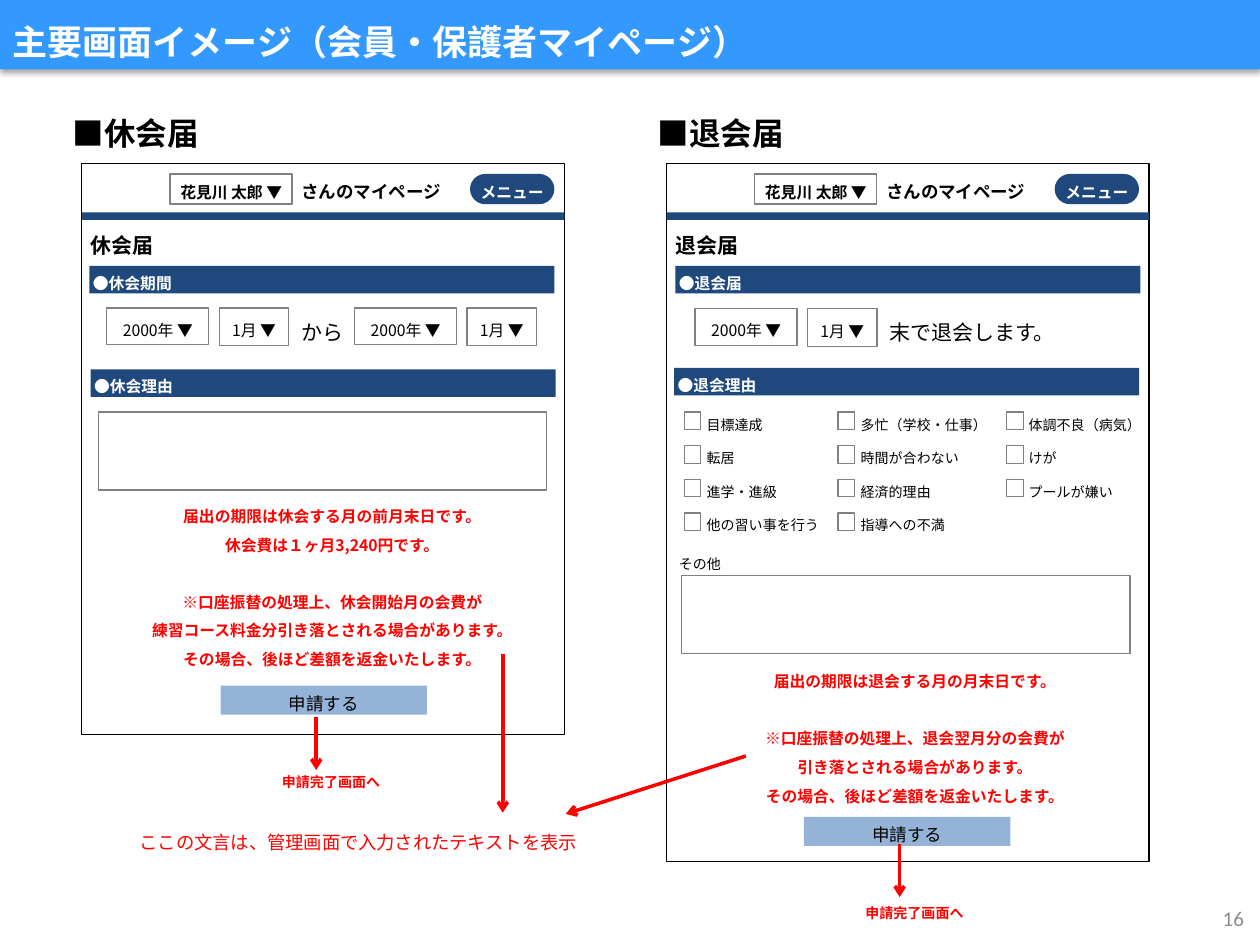
from pptx import Presentation
from pptx.dml.color import RGBColor
from pptx.enum.shapes import MSO_CONNECTOR, MSO_SHAPE
from pptx.enum.text import MSO_ANCHOR, PP_ALIGN
from pptx.oxml import parse_xml
from pptx.oxml.ns import nsdecls, qn
from pptx.oxml.xmlchemy import OxmlElement
from pptx.util import Pt

FONT = "Noto Sans CJK JP"
WHITE, BLACK, RED = "FFFFFF", "000000", "FF0000"
NAVY, GRAY, PALE_BLUE = "1F497D", "808080", "95B3D7"
LEFT, CENTER, RIGHT = PP_ALIGN.LEFT, PP_ALIGN.CENTER, PP_ALIGN.RIGHT


def color(value):
    return RGBColor.from_string(value)


class Screen:
    """Style and current slide, with one method per kind of element."""

    def __init__(self, page):
        self.page = page

    def add_lines(self, shape, lines, size, ink, bold=False, align=LEFT, font=FONT,
                  pitch=None, gaps=None, tabs=()):
        """Fill a shape with one paragraph per line; gaps maps line to space before."""
        frame = shape.text_frame
        for index, line in enumerate(lines):
            para = frame.paragraphs[0] if index == 0 else frame.add_paragraph()
            if tabs:
                stops = OxmlElement("a:tabLst")
                for position in tabs:
                    stop = OxmlElement("a:tab")
                    stop.set("pos", str(Pt(position)))
                    stop.set("algn", "l")
                    stops.append(stop)
                para._p.get_or_add_pPr().append(stops)
            para.alignment = align
            para.line_spacing = Pt(pitch or round(size * 1.3, 1))
            if gaps and index in gaps:
                para.space_before = Pt(gaps[index])
            span = para.add_run()
            span.text = line
            span.font.size = Pt(size)
            span.font.bold = bold
            span.font.name = font
            span.font.color.rgb = color(ink)
            east_asian = OxmlElement("a:ea")
            east_asian.set("typeface", font)
            span.font._element.find(qn("a:latin")).addnext(east_asian)

    def text(self, x, y, width, height, lines, size, ink=BLACK, wrap=False,
             anchor=MSO_ANCHOR.TOP, **style):
        box = self.page.shapes.add_textbox(Pt(x), Pt(y), Pt(width), Pt(height))
        box.text_frame.word_wrap = wrap
        box.text_frame.vertical_anchor = anchor
        self.add_lines(box, lines, size, ink, **style)
        return box

    def box(self, x, y, width, height, fill=WHITE, line=None, label=None, size=9,
            ink=BLACK, kind=MSO_SHAPE.RECTANGLE, inset=(0, 3, 0), align=CENTER,
            bold=False):
        shape = self.page.shapes.add_shape(kind, Pt(x), Pt(y), Pt(width), Pt(height))
        shape.shadow.inherit = False
        shape.fill.solid()
        shape.fill.fore_color.rgb = color(fill)
        if line:
            shape.line.color.rgb = color(line)
            shape.line.width = Pt(0.75)
        else:
            shape.line.fill.background()
        if label:
            frame = shape.text_frame
            frame.word_wrap = True
            frame.vertical_anchor = MSO_ANCHOR.MIDDLE
            frame.margin_left, frame.margin_top, frame.margin_right = map(Pt, inset)
            frame.margin_bottom = 0
            self.add_lines(shape, [label], size, ink, bold=bold, align=align)
        return shape

    def arrow(self, x1, y1, x2, y2):
        connector = self.page.shapes.add_connector(
            MSO_CONNECTOR.STRAIGHT, Pt(x1), Pt(y1), Pt(x2), Pt(y2))
        connector.line.color.rgb = color(RED)
        connector.line.width = Pt(2)
        properties = connector._element.spPr
        head = OxmlElement("a:tailEnd")
        head.set("type", "arrow")
        properties.find(qn("a:ln")).append(head)
        properties.append(OxmlElement("a:effectLst"))

    def title_bar(self, label):
        bar = self.box(0, 0, 720, 39.6, "3399FF", label=label, size=20, ink=WHITE,
                       inset=(7.2, 6, 7.2), align=LEFT, bold=True)
        properties = bar._element.spPr
        properties.remove(properties.find(qn("a:effectLst")))
        properties.append(parse_xml(
            f'<a:effectLst {nsdecls("a")}><a:outerShdw blurRad="{Pt(3.1)}" '
            f'dist="{Pt(1.8)}" dir="5400000" rotWithShape="0"><a:srgbClr val="000000">'
            '<a:alpha val="35000"/></a:srgbClr></a:outerShdw></a:effectLst>'))

    def panel(self, x, height, name):
        """Mock page with its heading and the shared page header."""
        self.text(x - 12.2, 59.8, 87, 29, ["■" + name], 18, bold=True)
        self.box(x, 93.6, 275.8, height, line=BLACK)
        self.text(x - 2.2, 128.2, 51, 21.6, [name], 12, bold=True)
        menu = self.box(x + 221.8, 99.4, 48.2, 17.3, NAVY, label="メニュー", ink=WHITE,
                        kind=MSO_SHAPE.ROUNDED_RECTANGLE, bold=True)
        menu.adjustments[0] = 0.5
        self.box(x, 121.4, 275.8, 4.3, NAVY)
        self.text(x + 118.4, 98.8, 95, 19.4, ["さんのマイページ"], 10, bold=True)
        self.box(x + 50.4, 99.4, 69.8, 17.3, line=GRAY, label="花見川 太郎 ▼", bold=True)

    def band(self, x, y, label):
        self.box(x, y, 265.7, 15.8, NAVY, label="●" + label, ink=WHITE,
                 inset=(2, 3, 0), align=LEFT, bold=True)

    def year_month(self, x, y):
        self.box(x, y, 58.3, 21, line=GRAY, label="2000年 ▼")
        self.box(x + 64.3, y, 39.6, 21.6, line=GRAY, label="1月 ▼")

    def notice(self, x, y, width, height, lines, gap_before):
        self.text(x, y, width, height, lines, 9, RED, bold=True, align=CENTER,
                  pitch=16.3, gaps={gap_before: 16.3})

    def submit(self, x, y, arrow_start):
        """Apply button, with an arrow down to the name of the next screen."""
        self.box(x, y, 118, 16.6, PALE_BLUE, label="申請する", size=10)
        self.text(x + 28, y + 46, 71.3, 17.3, ["申請完了画面へ"], 8, RED, bold=True)
        self.arrow(x + 54.7, y + arrow_start, x + 54.7, y + arrow_start + 30.2)


def main():
    deck = Presentation()
    deck.slide_width, deck.slide_height = Pt(720), Pt(540)
    screen = Screen(deck.slides.add_slide(deck.slide_layouts[6]))

    # Title and page number
    screen.title_bar("主要画面イメージ（会員・保護者マイページ）")
    screen.text(632.9, 509.8, 85, 28.8, ["16"], 12, "8C8C8C", wrap=True,
                anchor=MSO_ANCHOR.MIDDLE, align=RIGHT, font="Calibri")

    # Leave of absence form
    screen.panel(46.8, 326.2, "休会届")
    screen.band(51.1, 151.9, "休会期間")
    for x in (61, 202.6):
        screen.year_month(x, 176)
    screen.text(164.9, 177.8, 38.9, 21.6, ["から"], 12, align=CENTER)
    screen.band(51.8, 211, "休会理由")
    screen.box(56.2, 235.4, 256.3, 44.6, line=GRAY)
    screen.notice(77.8, 280.8, 223.9, 105, [
        "届出の期限は休会する月の前月末日です。",
        "休会費は１ヶ月3,240円です。",
        "※口座振替の処理上、休会開始月の会費が",
        "練習コース料金分引き落とされる場合があります。",
        "その場合、後ほど差額を返金いたします。"], 2)
    screen.submit(126, 391.8, 18)

    # Withdrawal form
    screen.panel(380.9, 398.9, "退会届")
    screen.band(385.9, 151.9, "退会届")
    screen.year_month(397.2, 176.4)
    screen.text(499.7, 177.8, 111.6, 21.6, ["末で退会します。"], 12, align=CENTER)
    screen.band(385.2, 210.2, "退会理由")

    # Withdrawal reasons with check boxes
    reasons = [
        ("目標達成", "多忙（学校・仕事）", "体調不良（病気）"),
        ("転居", "時間が合わない", "けが"),
        ("進学・進級", "経済的理由", "プールが嫌い"),
        ("他の習い事を行う", "指導への不満")]
    for row, labels in enumerate(reasons):
        for x, _ in zip((391, 478.8, 575.3), labels):
            screen.box(x, 235.5 + 19.2 * row, 9.5, 10, line=GRAY)
    screen.text(396.7, 233.5, 270, 85, ["\t".join(labels) for labels in reasons], 8,
                wrap=True, gaps={row: 8.8 for row in (1, 2, 3)}, tabs=(88, 184))
    screen.text(380.9, 313.2, 38.9, 17.3, ["その他"], 8)
    screen.box(389.5, 329, 256.3, 44.6, line=GRAY)
    screen.notice(429.1, 375.1, 187.2, 89.3, [
        "届出の期限は退会する月の月末日です。",
        "※口座振替の処理上、退会翌月分の会費が",
        "引き落とされる場合があります。",
        "その場合、後ほど差額を返金いたします。"], 1)
    screen.submit(459.4, 466.8, 15.6)

    # Remark on where the notices come from
    screen.arrow(287.3, 373.7, 287.3, 464.4)
    screen.arrow(426.2, 432, 323.3, 465.1)
    screen.text(72.7, 470.2, 278.6, 20.2,
                ["ここの文言は、管理画面で入力されたテキストを表示"], 10.5, RED, wrap=True)

    deck.save("out.pptx")


if __name__ == "__main__":
    main()
